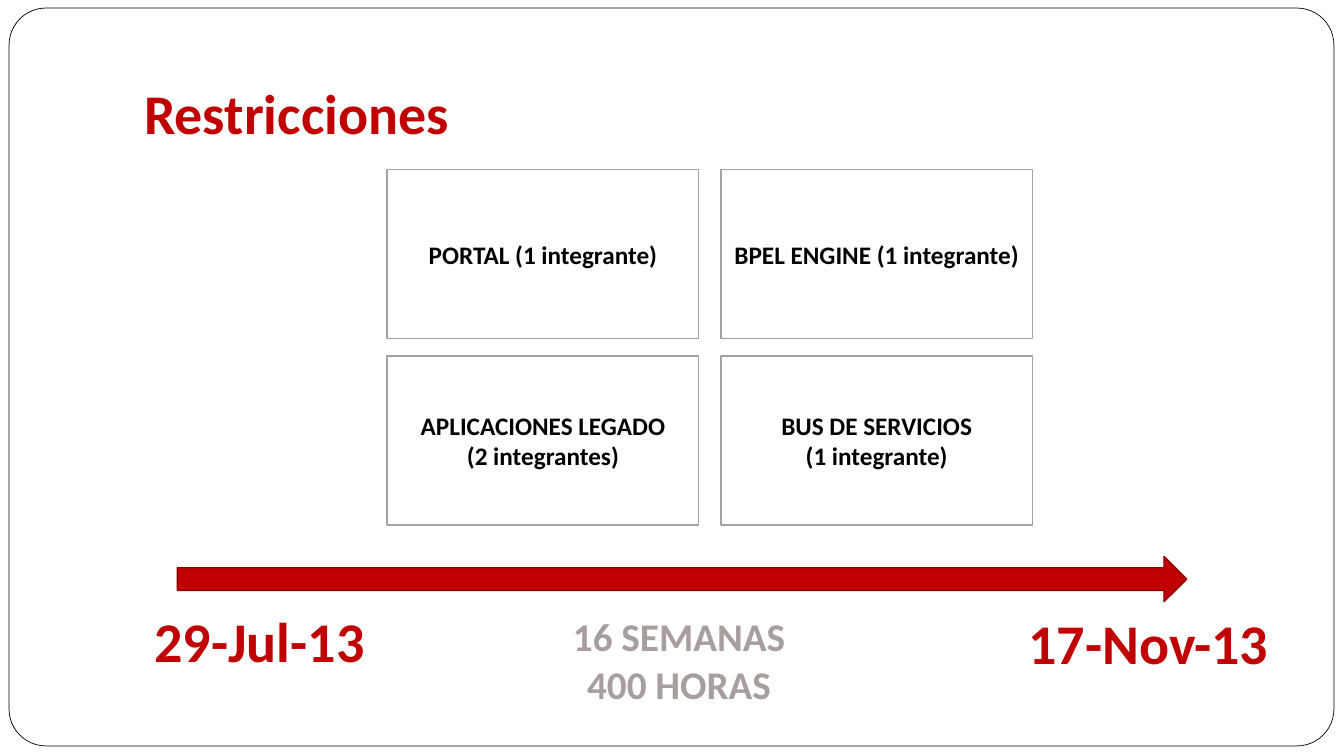
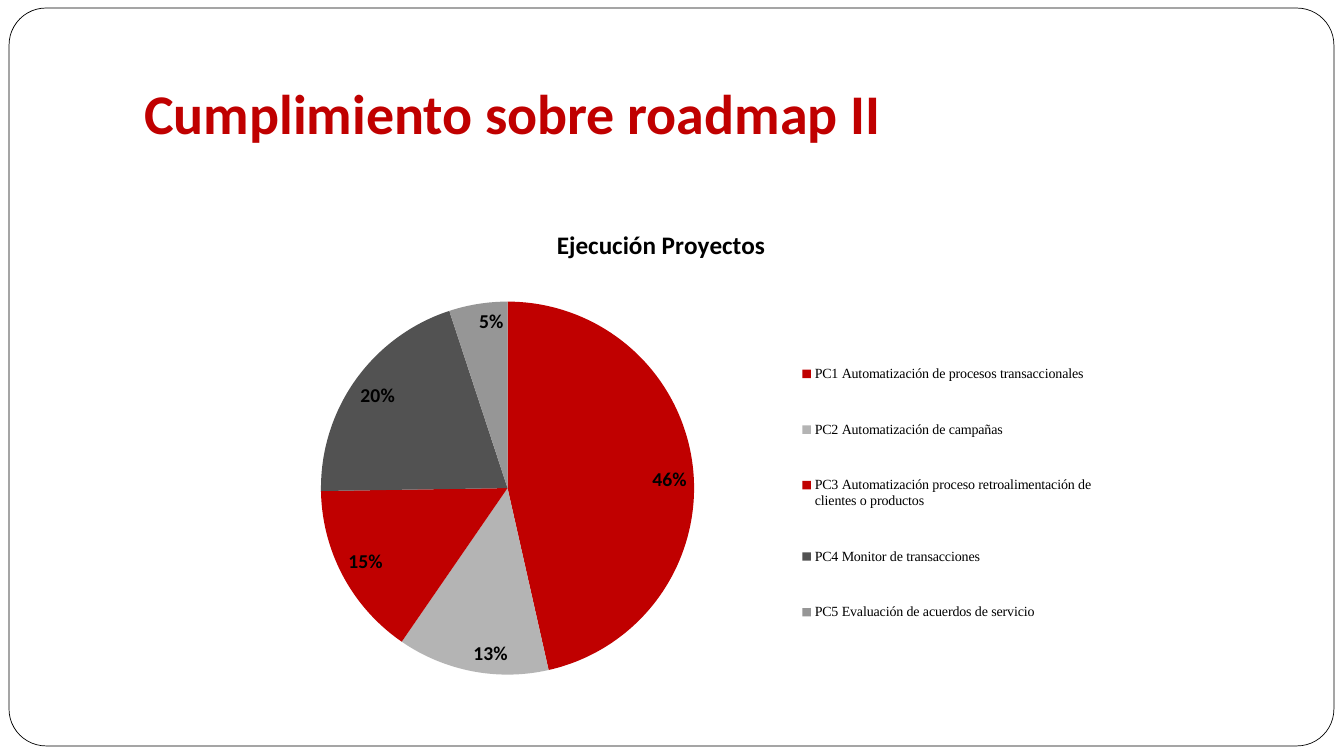
"""Build two slides: project constraints and progress on the roadmap."""
from dataclasses import dataclass

from lxml.etree import SubElement
from pptx import Presentation
from pptx.chart.data import CategoryChartData
from pptx.dml.color import RGBColor
from pptx.enum.chart import XL_CHART_TYPE, XL_LABEL_POSITION, XL_LEGEND_POSITION
from pptx.enum.shapes import MSO_SHAPE
from pptx.enum.text import MSO_ANCHOR, PP_ALIGN
from pptx.oxml.ns import qn
from pptx.util import Inches, Pt


@dataclass(frozen=True)
class Theme:
    font: str = "Calibri"
    legend_font: str = "Times New Roman"
    red: RGBColor = RGBColor(0xC0, 0x00, 0x00)
    dark_red: RGBColor = RGBColor(0x8E, 0x00, 0x00)
    black: RGBColor = RGBColor(0x00, 0x00, 0x00)
    white: RGBColor = RGBColor(0xFF, 0xFF, 0xFF)
    border_gray: RGBColor = RGBColor(0xA5, 0xA1, 0xA1)
    text_gray: RGBColor = RGBColor(0xA8, 0x9E, 0x9E)
    light_slice: RGBColor = RGBColor(0xB4, 0xB4, 0xB4)
    dark_slice: RGBColor = RGBColor(0x52, 0x52, 0x52)
    mid_slice: RGBColor = RGBColor(0x96, 0x96, 0x96)
    headline: Pt = Pt(40)
    duration: Pt = Pt(28)
    body: Pt = Pt(18)
    label: Pt = Pt(14)
    legend: Pt = Pt(10)


THEME = Theme()


def write(frame, lines, size, color, align=PP_ALIGN.CENTER):
    for index, line in enumerate(lines):
        paragraph = frame.paragraphs[0] if index == 0 else frame.add_paragraph()
        paragraph.alignment = align
        run = paragraph.add_run()
        run.text = line
        run.font.name = THEME.font
        run.font.size = size
        run.font.bold = True
        run.font.color.rgb = color


def add_block(slide, preset, box, fill, line, weight):
    block = slide.shapes.add_shape(preset, *map(Inches, box))
    block.shadow.inherit = False
    block.fill.solid()
    block.fill.fore_color.rgb = fill
    block.line.color.rgb = line
    block.line.width = Pt(weight)
    return block


deck = Presentation()
deck.slide_width, deck.slide_height = Inches(13.33), Inches(7.5)
layout = deck.slide_layouts[5]

slides = []
for heading in ("Restricciones", "Cumplimiento sobre roadmap II"):
    slide = deck.slides.add_slide(layout)
    title = slide.shapes.title
    title.left, title.top = Inches(1.33), Inches(0.3)
    title.width, title.height = Inches(11.33), Inches(1.25)
    title.text_frame.vertical_anchor = MSO_ANCHOR.BOTTOM
    title.text_frame.margin_bottom = Inches(0.1)
    write(title.text_frame, [heading], THEME.headline, THEME.red, PP_ALIGN.LEFT)
    slides.append(slide)
constraints, progress = slides

border = add_block(constraints, MSO_SHAPE.ROUNDED_RECTANGLE, (0.09, 0.08, 13.14, 7.32),
                   THEME.white, THEME.black, 0.5)
border.adjustments[0] = 0.05
border.element.nvSpPr.cNvPr.set("id", "20")
deck.slide_master.shapes.element.insert(2, border.element)

teams = [
    ["PORTAL (1 integrante)"],
    ["BPEL ENGINE (1 integrante)"],
    ["APLICACIONES LEGADO", "(2 integrantes)"],
    ["BUS DE SERVICIOS", "(1 integrante)"],
]
for index, team in enumerate(teams):
    row, column = divmod(index, 2)
    card = add_block(constraints, MSO_SHAPE.RECTANGLE,
                     (3.84 + column * 3.31, 1.68 + row * 1.85, 3.09, 1.68),
                     THEME.white, THEME.border_gray, 1)
    card.text_frame.margin_left = card.text_frame.margin_right = Inches(0.05)
    card.text_frame.word_wrap = True
    card.text_frame.vertical_anchor = MSO_ANCHOR.MIDDLE
    write(card.text_frame, team, THEME.body, THEME.black)

milestones = [
    (["29-Jul-13"], (1.42, 5.97, 2.31, 0.77), THEME.headline, THEME.red),
    (["17-Nov-13"], (10.08, 5.99, 2.62, 0.77), THEME.headline, THEME.red),
    (["16 SEMANAS", "400 HORAS"], (5.57, 6.03, 2.33, 1.04), THEME.duration, THEME.text_gray),
]
for lines, box, size, color in milestones:
    milestone = constraints.shapes.add_textbox(*map(Inches, box))
    milestone.text_frame.word_wrap = False
    write(milestone.text_frame, lines, size, color)

add_block(constraints, MSO_SHAPE.RIGHT_ARROW, (1.76, 5.52, 10.01, 0.45),
          THEME.red, THEME.dark_red, 1)

execution = CategoryChartData()
execution.categories = [
    "PC1 Automatización de procesos transaccionales",
    "PC2 Automatización de campañas",
    "PC3 Automatización proceso retroalimentación de clientes o productos",
    "PC4 Monitor de transacciones",
    "PC5 Evaluación de acuerdos de servicio",
]
execution.add_series("Series 1", (46, 13, 15, 20, 5))
chart = progress.shapes.add_chart(
    XL_CHART_TYPE.PIE, Inches(2.1), Inches(1.97), Inches(8.89), Inches(4.87), execution
).chart
chart.font.name = THEME.legend_font
chart.font.size = THEME.legend
chart.font.color.rgb = THEME.black
chart.has_title = True
write(chart.chart_title.text_frame, ["Ejecución Proyectos"], THEME.body, THEME.black)
chart.has_legend = True
chart.legend.position = XL_LEGEND_POSITION.RIGHT
chart.legend.include_in_layout = False

pie = chart.plots[0]
pie.vary_by_categories = True
slices = (THEME.red, THEME.light_slice, THEME.red, THEME.dark_slice, THEME.mid_slice)
for index, color in enumerate(slices):
    fill = pie.series[0].points[index].format.fill
    fill.solid()
    fill.fore_color.rgb = color

pie.has_data_labels = True
labels = pie.data_labels
labels.show_percentage = True
labels.show_value = False
labels.number_format = "0%"
labels.number_format_is_linked = False
labels.position = XL_LABEL_POSITION.INSIDE_END
labels.font.name = THEME.font
labels.font.size = THEME.label
labels.font.bold = True
labels.font.color.rgb = THEME.black

chart_space = chart.element
placements = [
    ("c:title", 1, {"x": 0.38, "y": 0.05}),
    ("c:plotArea", 0, {"x": 0.12, "y": 0.21, "w": 0.42, "h": 0.76}),
    ("c:legend", 1, {"x": 0.65, "y": 0.26, "w": 0.34, "h": 0.68}),
]
for tag, position, fractions in placements:
    part = chart_space.find(f"{qn('c:chart')}/{qn(tag)}")
    for automatic in part.findall(qn("c:layout")):
        part.remove(automatic)
    placement = SubElement(part, qn("c:layout"))
    part.insert(position, placement)
    manual = SubElement(placement, qn("c:manualLayout"))
    if tag == "c:plotArea":
        SubElement(manual, qn("c:layoutTarget")).set("val", "inner")
    for axis in "xy":
        SubElement(manual, qn(f"c:{axis}Mode")).set("val", "edge")
    for key, fraction in fractions.items():
        SubElement(manual, qn(f"c:{key}")).set("val", str(fraction))

deck.save("out.pptx")
